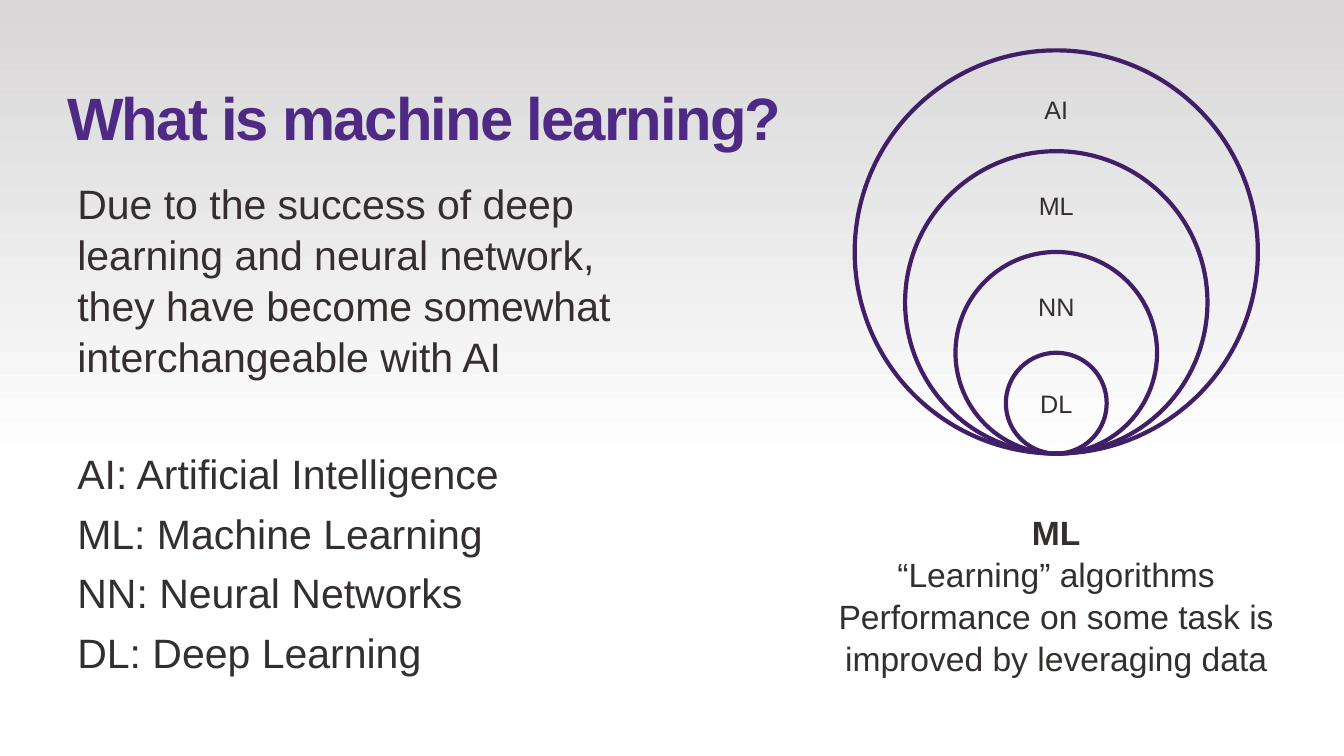
from pptx import Presentation
from pptx.dml.color import RGBColor
from pptx.enum.shapes import MSO_SHAPE as Shape
from pptx.enum.text import MSO_ANCHOR as Anchor, PP_ALIGN as Align
from pptx.util import Cm, Pt

WHITE = RGBColor(0xFF, 0xFF, 0xFF)
GREY = RGBColor(0xD8, 0xD6, 0xD6)
PURPLE = RGBColor(0x4E, 0x2A, 0x84)
VIOLET = RGBColor(0x40, 0x1F, 0x68)
INK = RGBColor(0x34, 0x2F, 0x2E)

INTRO = ("Due to the success of deep learning and neural network, "
         "they have become somewhat interchangeable with AI")
TERMS = ["AI: Artificial Intelligence", "ML: Machine Learning",
         "NN: Neural Networks", "DL: Deep Learning"]
RINGS = [("AI", 0.97), ("ML", 0.86), ("NN", 0.86), ("DL", 0.76)]
CAPTION = ["ML", "“Learning” algorithms",
           "Performance on some task is improved by leveraging data"]


def add_text(slide, box, lines, size, color=INK, align=Align.LEFT, pitch=1.04):
    """Place a text box with one paragraph per line and return its frame."""
    frame = slide.shapes.add_textbox(*map(Cm, box)).text_frame
    frame.word_wrap = True
    frame.text = "\n".join(lines)
    for para in frame.paragraphs:
        para.alignment = align
        para.line_spacing = pitch
        font = para.runs[0].font
        font.name, font.size = "Arial", Pt(size)
        font.color.rgb = color
    return frame


def add_band(slide, box):
    """Draw the band that fades from grey at the top to white."""
    band = slide.shapes.add_shape(Shape.RECTANGLE, *map(Cm, box))
    band.shadow.inherit = False
    band.line.fill.background()
    band.fill.gradient()
    band.fill.gradient_angle = 90
    for stop, color, place in zip(band.fill.gradient_stops, (WHITE, GREY), (0, 1)):
        stop.color.rgb = color
        stop.position = place


def add_title(slide, box):
    """Write the heading on the bottom edge of its box."""
    frame = add_text(slide, box, ["What is machine learning?"], 42.7, PURPLE, pitch=0.85)
    frame.vertical_anchor = Anchor.BOTTOM
    frame.margin_left = frame.margin_right = 0
    frame.margin_top = frame.margin_bottom = 0
    font = frame.paragraphs[0].runs[0].font
    font.bold = True
    font._element.set("spc", "-130")


def add_body(slide, box):
    """Write the introduction and, after a gap, the list of terms."""
    paras = add_text(slide, box, [INTRO] + TERMS, 29.3).paragraphs
    for para in paras:
        para.space_before = Pt(5.9)
    paras[1].space_before = Pt(47)


def add_rings(slide, box):
    """Nest the circles so that all touch at the bottom of the box."""
    left, top, size = box
    step = size / len(RINGS)
    for rank, (name, drop) in enumerate(RINGS):
        side = size - rank * step
        x, y = left + rank * step / 2, top + rank * step
        ring = slide.shapes.add_shape(Shape.OVAL, *map(Cm, (x, y, side, side)))
        ring.shadow.inherit = False
        ring.fill.background()
        ring.line.color.rgb = VIOLET
        ring.line.width = Pt(3)
        add_text(slide, (x, y + drop, side, 1.02), [name], 18,
                 align=Align.CENTER, pitch=1)


def add_caption(slide, box):
    """Write the definition under a bold heading."""
    frame = add_text(slide, box, CAPTION, 24, align=Align.CENTER)
    frame.paragraphs[0].runs[0].font.bold = True


def main():
    """Build the slide and save it."""
    deck = Presentation()
    deck.slide_width, deck.slide_height = Cm(33.87), Cm(19.05)
    slide = deck.slides.add_slide(deck.slide_layouts[6])
    add_band(slide, (0, 0, 33.87, 11.81))
    add_title(slide, (1.7, 0.79, 31.12, 3.05))
    add_body(slide, (1.7, 4.32, 15.62, 12.4))
    add_rings(slide, (21.54, 1.27, 10.16))
    add_caption(slide, (20.24, 12.73, 12.75, 4.37))
    deck.save("out.pptx")


if __name__ == "__main__":
    main()
